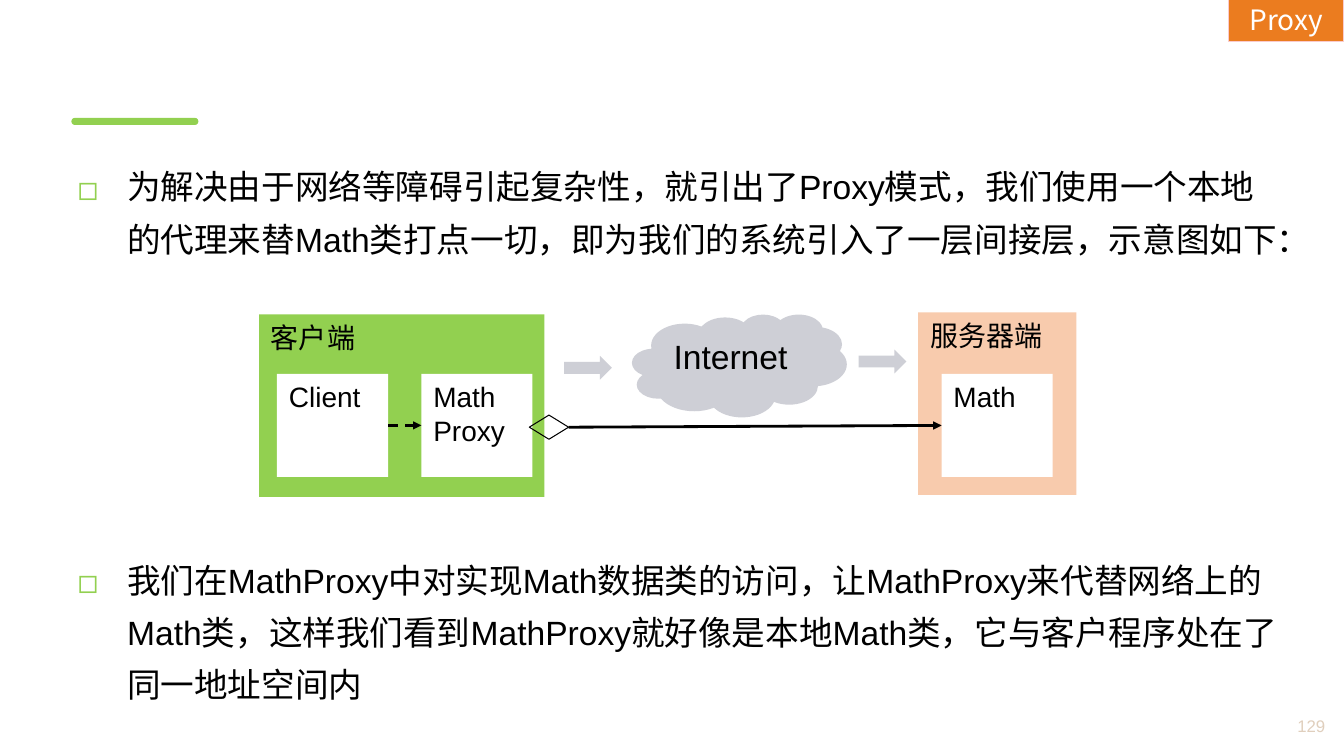
from dataclasses import dataclass

from lxml.etree import SubElement
from pptx import Presentation
from pptx.dml.color import RGBColor
from pptx.enum.dml import MSO_LINE
from pptx.enum.shapes import MSO_CONNECTOR, MSO_SHAPE as Shape
from pptx.enum.text import MSO_ANCHOR as Anchor, MSO_AUTO_SIZE as AutoSize, PP_ALIGN as Align
from pptx.oxml.ns import qn
from pptx.util import Cm, Pt


@dataclass(frozen=True)
class Theme:
    """Colours, fonts and type sizes of the slide."""
    green: str = "92D050"
    peach: str = "F8CBAD"
    grey: str = "CECFD6"
    orange: str = "EB7C1F"
    pink: str = "F9CBCD"
    sand: str = "E0CFBD"
    black: str = "000000"
    white: str = "FFFFFF"
    latin: str = "Arial"
    cjk: str = "Noto Sans CJK SC"
    body: int = 24
    label: int = 20
    number: int = 12


THEME = Theme()


def rgb(color):
    """Turn a hex string into a colour."""
    return RGBColor.from_string(color)


def write(p, text, size=THEME.label, color=THEME.black, font=THEME.latin, align=Align.LEFT):
    """Put one formatted run into a paragraph."""
    p.alignment = align
    r = p.add_run()
    r.text = text
    r.font.size = Pt(size)
    r.font.name = font
    r.font.color.rgb = rgb(color)
    SubElement(r.font._element, qn("a:ea"), typeface=THEME.cjk)


def place(sp, left, top, width, height):
    """Set position and size in centimetres."""
    sp.left, sp.top, sp.width, sp.height = map(Cm, (left, top, width, height))


def add_block(s, kind, at, fill=None, line=None):
    """Add a preset shape with a flat fill and an optional thin outline."""
    sp = s.shapes.add_shape(kind, *map(Cm, at))
    sp.shadow.inherit = False
    if fill:
        sp.fill.solid()
        sp.fill.fore_color.rgb = rgb(fill)
    else:
        sp.fill.background()
    if line:
        sp.line.color.rgb = rgb(line)
        sp.line.width = Pt(0.75)
    else:
        sp.line.fill.background()
    return sp


def add_labelled(s, kind, at, fill, lines, size=THEME.label):
    """Add a filled shape with its label at the top left."""
    sp = add_block(s, kind, at, fill)
    tf = sp.text_frame
    tf.vertical_anchor = Anchor.TOP
    tf.margin_left = tf.margin_right = Cm(0.3)
    tf.margin_top = tf.margin_bottom = Cm(0.15)
    for i, text in enumerate(lines):
        write(tf.add_paragraph() if i else tf.paragraphs[0], text, size)
    return sp


def add_arrow(s, start, end, width, dash=None):
    """Join the right side of one shape to the left side of another."""
    line = s.shapes.add_connector(MSO_CONNECTOR.STRAIGHT, 0, 0, 0, 0)
    line.begin_connect(start, 3)
    line.end_connect(end, 1)
    line.line.color.rgb = rgb(THEME.black)
    line.line.width = Pt(width)
    if dash:
        line.line.dash_style = dash
    SubElement(line.line._get_or_add_ln(), qn("a:tailEnd"), type="triangle")
    SubElement(line._element.spPr, qn("a:effectLst"))


def add_bullet(p):
    """Give a paragraph a green square bullet with a hanging indent."""
    pPr = p._p.get_or_add_pPr()
    pPr.set("marL", str(Cm(1.25)))
    pPr.set("indent", str(-Cm(1.25)))
    SubElement(SubElement(pPr, qn("a:buClr")), qn("a:srgbClr"), val=THEME.green)
    SubElement(pPr, qn("a:buFont"), typeface=THEME.cjk)
    SubElement(pPr, qn("a:buChar"), char="◻")


def fill_body(sp, items, gap):
    """Write the bullet list, leaving a gap between items for the diagram."""
    place(sp, 1.7, 3.76, 30.99, 14.68)
    tf = sp.text_frame
    tf.auto_size = AutoSize.NONE
    tf.vertical_anchor = Anchor.TOP
    for i, text in enumerate(items):
        p = tf.add_paragraph() if i else tf.paragraphs[0]
        add_bullet(p)
        p.line_spacing = 1.3
        p.space_before = Pt(gap if i else 0)
        p.space_after = Pt(3)
        write(p, text, THEME.body)


def add_number(s, text):
    """Add the page number at the bottom right."""
    tf = s.shapes.add_textbox(*map(Cm, (30.78, 17.81, 2.87, 0.97))).text_frame
    tf.word_wrap = True
    tf.vertical_anchor = Anchor.MIDDLE
    write(tf.paragraphs[0], text, THEME.number, THEME.sand, align=Align.RIGHT)


def add_tag(s, text):
    """Add the topic tag in the top right corner."""
    tf = add_block(s, Shape.RECTANGLE, (30.96, -0.08, 2.9, 1.12), THEME.orange, THEME.pink).text_frame
    tf.word_wrap = False
    tf.vertical_anchor = Anchor.MIDDLE
    write(tf.paragraphs[0], text, color=THEME.white, font=THEME.cjk, align=Align.CENTER)


def add_diagram(s):
    """Draw client and server joined through the network."""
    rect = Shape.RECTANGLE
    add_labelled(s, rect, (6.53, 7.92, 7.19, 4.6), THEME.green, ["客户端"])
    add_labelled(s, rect, (23.14, 7.87, 3.99, 4.6), THEME.peach, ["服务器端"])
    add_labelled(s, Shape.CLOUD, (15.93, 7.92, 5.41, 2.59), THEME.grey, ["Internet"], THEME.body)
    for left, top in ((14.22, 8.97), (21.64, 8.81)):
        add_block(s, Shape.RIGHT_ARROW, (left, top, 1.2, 0.6), THEME.grey)
    client, proxy, server = (
        add_labelled(s, rect, (left, 9.42, 2.8, 2.6), THEME.white, lines)
        for left, lines in ((6.98, ["Client"]), (10.62, ["Math", "Proxy"]), (23.73, ["Math"]))
    )
    diamond = add_block(s, Shape.DIAMOND, (13.34, 10.46, 0.99, 0.61), line=THEME.black)
    add_arrow(s, client, proxy, 1.75, MSO_LINE.DASH)
    add_arrow(s, diamond, server, 2)


def main():
    """Build the slide and save it."""
    prs = Presentation()
    prs.slide_width, prs.slide_height = Cm(33.87), Cm(19.05)
    s = prs.slides.add_slide(prs.slide_layouts[1])
    title = s.shapes.title._element
    title.getparent().remove(title)
    bar = add_block(s, Shape.ROUND_2_SAME_RECTANGLE, (1.8, 2.97, 3.2, 0.18), THEME.green)
    bar.adjustments[0] = bar.adjustments[1] = 0.5
    fill_body(s.placeholders[1], [
        "为解决由于网络等障碍引起复杂性，就引出了Proxy模式，我们使用一个本地的代理来替Math类打点一切，"
        "即为我们的系统引入了一层间接层，示意图如下：",
        "我们在MathProxy中对实现Math数据类的访问，让MathProxy来代替网络上的Math类，"
        "这样我们看到MathProxy就好像是本地Math类，它与客户程序处在了同一地址空间内",
    ], gap=203)
    add_number(s, "129")
    add_diagram(s)
    add_tag(s, "Proxy")
    prs.save("out.pptx")


if __name__ == "__main__":
    main()
